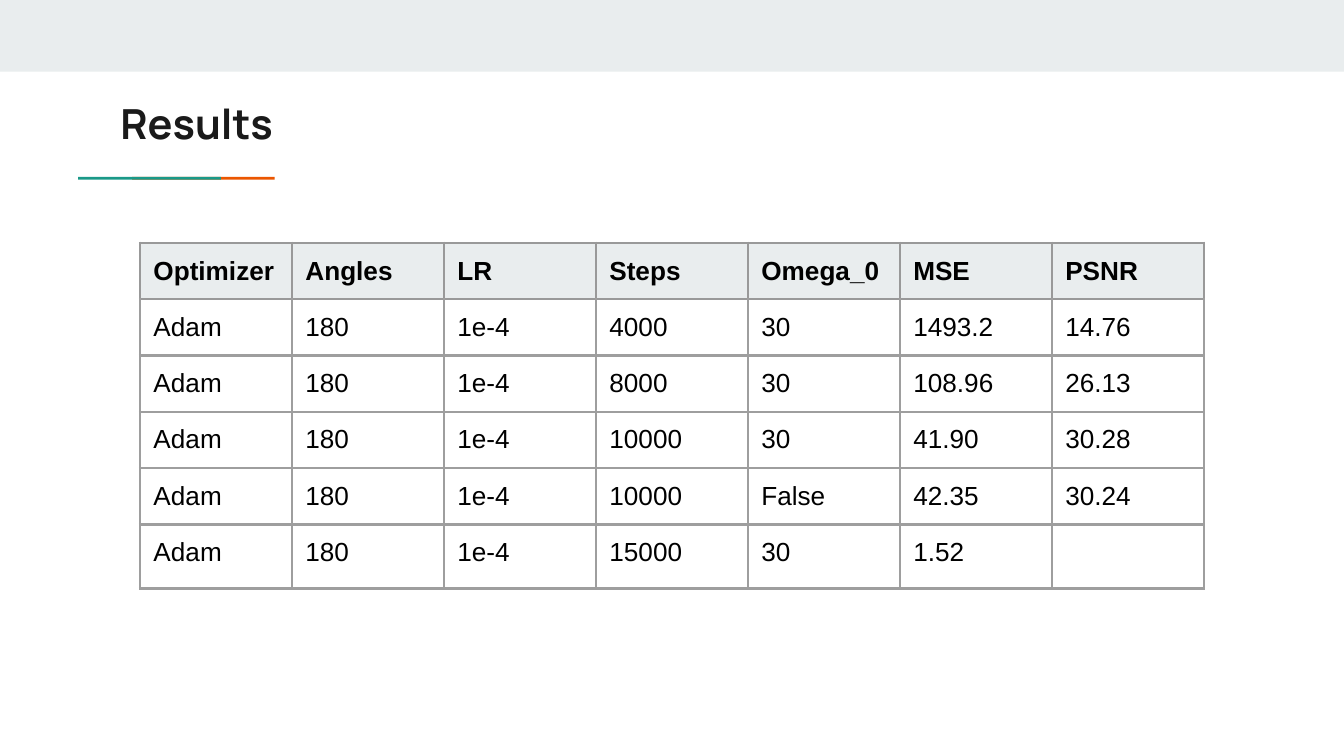
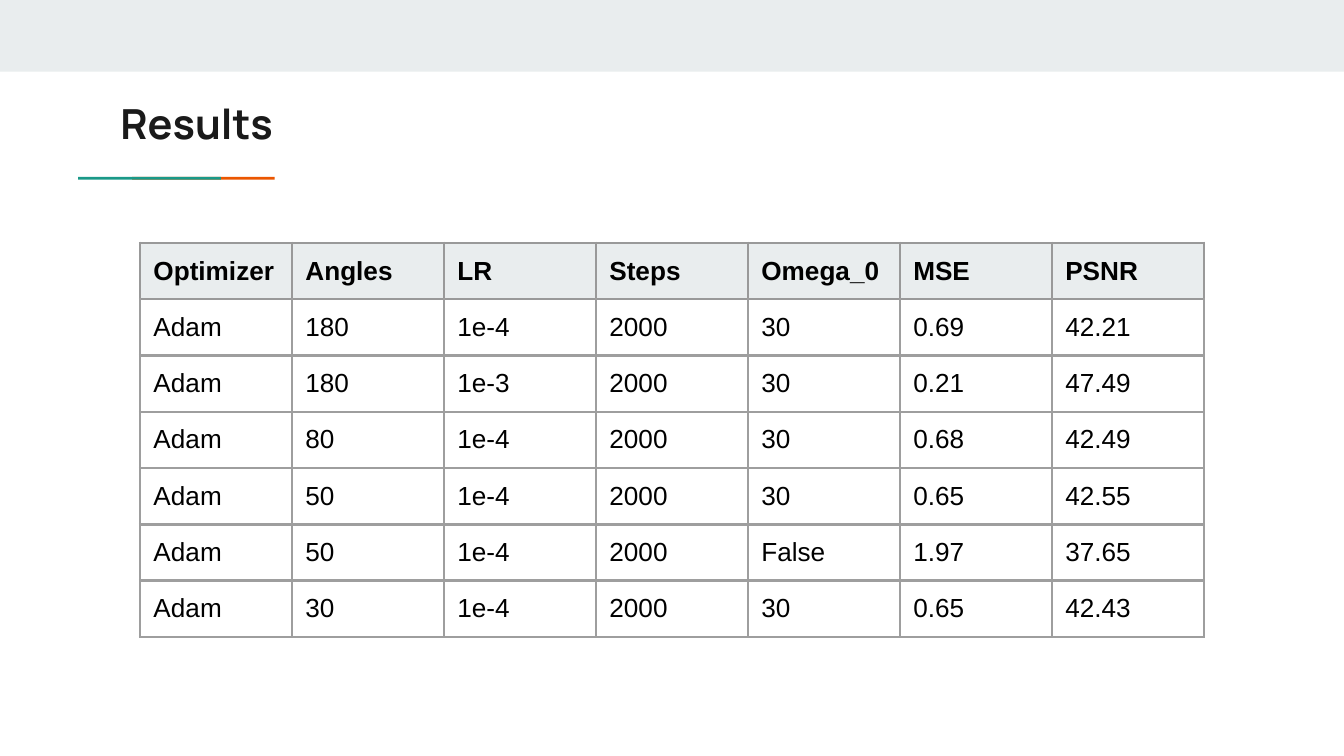
from lxml import etree
from pptx import Presentation
from pptx.dml.color import RGBColor
from pptx.enum import shapes, text
from pptx.oxml import ns
from pptx.util import Pt

WIDTH, HEIGHT = 720, 405
PALE, TEAL, ORANGE, INK, BLACK = "E9EDEE", "1A9988", "EB5600", "1A1A1A", "000000"
EDGE, GRID = "999999", "9E9E9E"
HEAD_FONT = {"name": "Manrope", "size": Pt(22.2), "bold": True}
CELL_FONT = {"name": "Arial", "size": Pt(14)}
INSETS = {f"margin_{side}": Pt(7.2) for side in ("left", "top", "right", "bottom")}
COL_W, ROW_H, TALL_H = 81.43, 30.1, 34.4

HEADS = ["Optimizer", "Angles", "LR", "Steps", "Omega_0", "MSE", "PSNR"]
LONG_RUNS = [
    ["Adam", "180", "1e-4", "4000", "30", "1493.2", "14.76"],
    ["Adam", "180", "1e-4", "8000", "30", "108.96", "26.13"],
    ["Adam", "180", "1e-4", "10000", "30", "41.90", "30.28"],
    ["Adam", "180", "1e-4", "10000", "False", "42.35", "30.24"],
    ["Adam", "180", "1e-4", "15000", "30", "1.52", ""],
]
SHORT_RUNS = [
    ["Adam", "180", "1e-4", "2000", "30", "0.69", "42.21"],
    ["Adam", "180", "1e-3", "2000", "30", "0.21", "47.49"],
    ["Adam", "80", "1e-4", "2000", "30", "0.68", "42.49"],
    ["Adam", "50", "1e-4", "2000", "30", "0.65", "42.55"],
    ["Adam", "50", "1e-4", "2000", "False", "1.97", "37.65"],
    ["Adam", "30", "1e-4", "2000", "30", "0.65", "42.43"],
]


def paint(fill, color):
    fill.solid()
    fill.fore_color.rgb = RGBColor.from_string(color)


def style(item, values):
    for name, value in values.items():
        setattr(item, name, value)


def add_bar(home, left, top, width, height, color):
    bar = home.shapes.add_shape(shapes.MSO_SHAPE.RECTANGLE,
                                Pt(left), Pt(top), Pt(width), Pt(height))
    bar.shadow.inherit = False
    bar.line.fill.background()
    paint(bar.fill, color)
    return bar


def add_rule(slide, left, top):
    """Two-colour line under the title: turned bars in a stretched group."""
    thick, length, step, stretch = 1.5, 29.4, 11.1, 2.6
    group = slide.shapes.add_group_shape()
    for shift, color in ((step, ORANGE), (0, TEAL)):
        bar = add_bar(group, left + shift, top, thick, length, color)
        bar.rotation = 270
    group.width = Pt((step + thick) * stretch)


def set_title(slide, words, left, top, width, height):
    title = slide.shapes.title
    style(title, {"left": Pt(left), "top": Pt(top),
                  "width": Pt(width), "height": Pt(height)})
    frame = title.text_frame
    style(frame, {**INSETS, "word_wrap": True,
                  "auto_size": text.MSO_AUTO_SIZE.NONE,
                  "vertical_anchor": text.MSO_ANCHOR.TOP})
    frame.text = words
    para = frame.paragraphs[0]
    para.alignment = text.PP_ALIGN.LEFT
    font = para.runs[0].font
    style(font, HEAD_FONT)
    paint(font.fill, INK)


def set_edges(cell, colors):
    """Draw the left, right, top and bottom borders, in that order."""
    props = cell._tc.get_or_add_tcPr()
    for spot, (side, color) in enumerate(zip("LRTB", colors)):
        line = etree.Element(ns.qn(f"a:ln{side}"), w=str(Pt(1.5)))
        fill = etree.SubElement(line, ns.qn("a:solidFill"))
        etree.SubElement(fill, ns.qn("a:srgbClr"), val=color)
        props.insert(spot, line)


def fill_cell(cell, words, row):
    head = row == 0
    style(cell, INSETS)
    if head:
        paint(cell.fill, PALE)
    else:
        cell.fill.background()
    side = EDGE if head else GRID
    set_edges(cell, [side, side, EDGE if row < 2 else GRID, side])
    para = cell.text_frame.paragraphs[0]
    if words:
        run = para.add_run()
        run.text = words
        style(run.font, {**CELL_FONT, "bold": head})
        paint(run.font.fill, BLACK)
    else:
        # Keep the blank cell from growing its row
        etree.SubElement(para._p, ns.qn("a:endParaRPr"), sz="1400")


def add_grid(slide, rows, left, top):
    rows = [HEADS, *rows]
    heights = [ROW_H if all(row) else TALL_H for row in rows]
    table = slide.shapes.add_table(len(rows), len(HEADS), Pt(left), Pt(top),
                                   Pt(COL_W * len(HEADS)), Pt(sum(heights))).table
    style(table, {"first_row": False, "horz_banding": False})
    for col in table.columns:
        col.width = Pt(COL_W)
    for r, (row, height) in enumerate(zip(rows, heights)):
        table.rows[r].height = Pt(height)
        for c, words in enumerate(row):
            fill_cell(table.cell(r, c), words, r)


def add_results(deck, rows):
    slide = deck.slides.add_slide(deck.slide_layouts[0])
    # Drop the unused subtitle
    spare = slide.placeholders[1].element
    spare.getparent().remove(spare)
    # Band, title and rule
    add_bar(slide, 0, 0, WIDTH, 38.4, PALE)
    set_title(slide, "Results", 57.3, 45.4, 605.5, 47.5)
    add_rule(slide, 78.15, 80.8)
    # Results table
    add_grid(slide, rows, 75, 130.1)


def main():
    deck = Presentation()
    style(deck, {"slide_width": Pt(WIDTH), "slide_height": Pt(HEIGHT)})
    for rows in (LONG_RUNS, SHORT_RUNS):
        add_results(deck, rows)
    deck.save("out.pptx")


if __name__ == "__main__":
    main()
